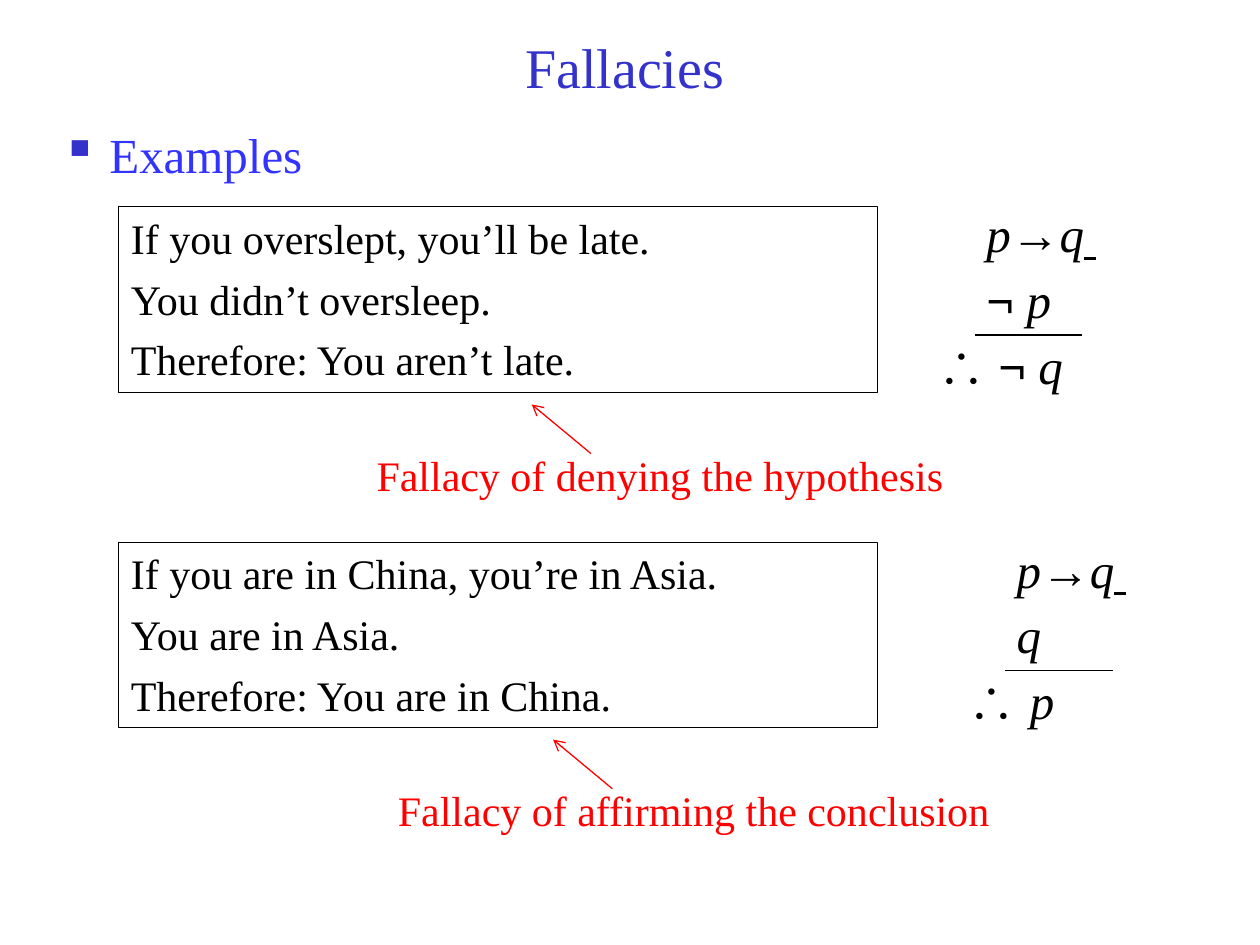
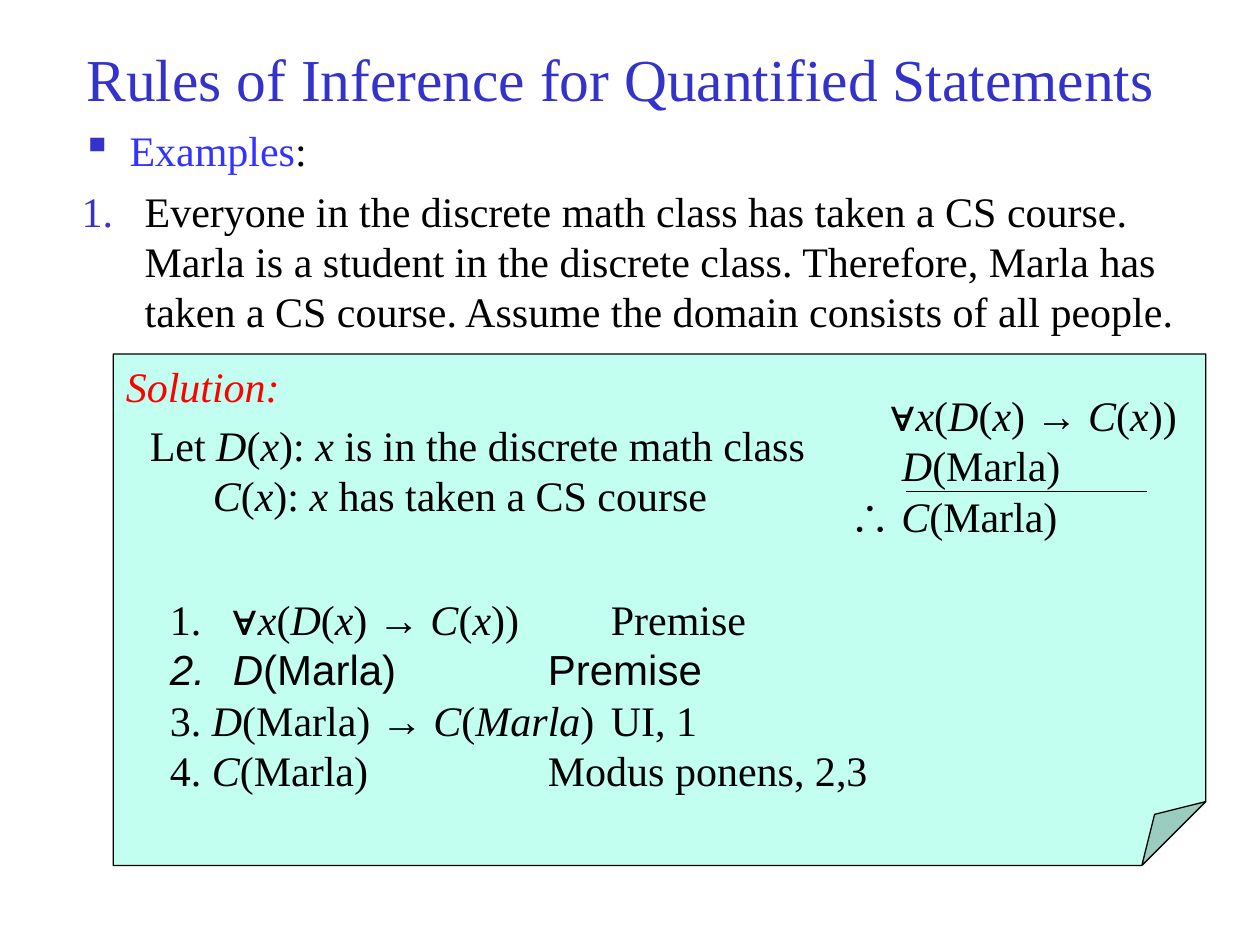
from lxml.etree import SubElement
from pptx import Presentation
from pptx.dml.color import RGBColor
from pptx.enum.shapes import MSO_CONNECTOR, MSO_SHAPE
from pptx.enum.text import MSO_ANCHOR, PP_ALIGN
from pptx.oxml.ns import qn
from pptx.util import Inches, Pt

NAVY, BLUE, RED, BLACK, MINT = "3333CC", "3333FF", "FF0000", "000000", "C2FFF0"
MARKS = "*~_^#"


def paint(target, color):
    target.rgb = RGBColor.from_string(color)


def split(text):
    state, part = set(), ""
    for char in text:
        if char in MARKS:
            if part:
                yield part, set(state)
            state ^= {char}
            part = ""
        else:
            part += char
    if part:
        yield part, state


def indent(para, left, hang, mark):
    props = para._p.get_or_add_pPr()
    props.set("marL", str(Inches(left)))
    props.set("indent", str(-Inches(hang)))
    if mark == "▪":
        SubElement(props, qn("a:buChar"), char=mark)
    elif mark:
        SubElement(props, qn("a:buAutoNum"), type=mark)
    else:
        SubElement(props, qn("a:buNone"))


def tint(para, color):
    node = SubElement(para._p.get_or_add_pPr(), qn("a:buClr"))
    SubElement(node, qn("a:srgbClr"), val=color)


def write(shape, lines, size=24, color=BLACK, gap=0, anchor=MSO_ANCHOR.TOP,
          align=PP_ALIGN.LEFT, dot=None):
    frame = shape.text_frame
    frame.word_wrap = True
    frame.vertical_anchor = anchor
    for pos, line in enumerate(lines):
        text, left, hang, mark = line if isinstance(line, tuple) else (line, 0, 0, None)
        para = frame.add_paragraph() if pos else frame.paragraphs[0]
        para.alignment = align
        if pos and gap:
            para.space_before = Pt(gap)
        if dot:
            tint(para, dot)
        indent(para, left, hang, mark)
        for part, state in split(text):
            run = para.add_run()
            run.text = part
            font = run.font
            font.size = Pt(size)
            font.name = "Arial" if "^" in state else "Times New Roman"
            font.italic = "*" in state
            font.bold = "~" in state
            font.underline = "_" in state
            paint(font.color, BLUE if "#" in state else color)


class Deck:
    def __init__(self):
        self.show = Presentation()
        self.show.slide_width, self.show.slide_height = Inches(10), Inches(7.5)
        self.slide = None

    def page(self, title, *place, size):
        self.slide = self.show.slides.add_slide(self.show.slide_layouts[6])
        self.text([title], *place, size=size, color=NAVY,
                  anchor=MSO_ANCHOR.MIDDLE, align=PP_ALIGN.CENTER)

    def text(self, lines, *place, **style):
        write(self.slide.shapes.add_textbox(*map(Inches, place)), lines, **style)

    def panel(self, kind, lines, *place, fill=None, width=0.25, fold=None, **style):
        shape = self.slide.shapes.add_shape(kind, *map(Inches, place))
        shape.shadow.inherit = False
        if fold:
            guides = next(shape._element.spPr.iter(qn("a:avLst")))
            SubElement(guides, qn("a:gd"), name="adj", fmla=f"val {fold}")
        if fill:
            shape.fill.solid()
            paint(shape.fill.fore_color, fill)
        else:
            shape.fill.background()
        paint(shape.line.color, BLACK)
        shape.line.width = Pt(width)
        write(shape, lines, **style)

    def line(self, *ends, color=BLACK, arrow=False):
        line = self.slide.shapes.add_connector(MSO_CONNECTOR.STRAIGHT, *map(Inches, ends))
        paint(line.line.color, color)
        line.line.width = Pt(0.75)
        if arrow:
            SubElement(line.line._get_or_add_ln(), qn("a:tailEnd"), type="arrow")
        SubElement(line._element.spPr, qn("a:effectLst"))

    def case(self, top, claim, proof, left, name, start):
        self.panel(MSO_SHAPE.RECTANGLE, claim, 0.94, top, 6.02, 1.47, gap=5.8)
        first, second, last = proof
        self.text([(first, 0.39, 0, None), (second, 0.39, 0, None), last],
                  left, top - 0.07, 1.8, 1.61, size=28, gap=4)
        self.line(left + 0.4, top + 1.02, left + 1.25, top + 1.02)
        self.line(start + 1.8, top + 1.96, start + 1.33, top + 1.57, color=RED, arrow=True)
        self.text([name], start, top + 1.88, 5, 0.51, color=RED)


def main():
    deck = Deck()
    deck.page("Fallacies", 0.31, 0.13, 9.3, 0.79, size=32)
    deck.text([("Examples", 0.38, 0.38, "▪")], 0.39, 0.94, 9.22, 0.6,
              size=28, color=BLUE, dot=NAVY)
    deck.case(1.64,
              ["If you overslept, you’ll be late.", "You didn’t oversleep.",
               "Therefore: You aren’t late."],
              ["*p*^→^*q_ _*", "~¬ ~*p*", "^∴^~ ¬ ~*q*"], 7.34,
              "Fallacy of denying the hypothesis", 2.89)
    deck.case(4.3,
              ["If you are in China, you’re in Asia.", "You are in Asia.",
               "Therefore: You are in China."],
              ["*p*^→^*q_ _*", "*q*", "^∴ ^*p*"], 7.58,
              "Fallacy of affirming the conclusion", 3.06)

    rule = "∀*x*(*D*(*x*) → *C*(*x*))"
    count = "arabicPeriod"
    deck.page("Rules of Inference for Quantified Statements", 0.16, 0.13, 9.53, 0.97, size=34)
    deck.text([("#Examples#:", 0.38, 0.38, "▪"),
               ("Everyone in the discrete math class has taken a CS course. Marla is a "
                "student in the discrete class. Therefore, Marla has taken a CS course. "
                "Assume the domain consists of all people.", 0.5, 0.5, count)],
              0.55, 0.94, 9.06, 1.8, gap=5.8, dot=NAVY)
    deck.panel(MSO_SHAPE.FOLDED_CORNER, ["*Solution:*"], 0.9, 2.81, 8.67, 4.06,
               fill=MINT, width=0.75, fold=12500, color=RED)
    deck.text(["Let *D*(*x*): *x* is in the discrete math class",
               ("*C*(*x*): *x* has taken a CS course", 0.5, 0, None)],
              1.09, 3.28, 7.89, 0.91)
    deck.text([(rule, 0.33, 0, None), ("*D*(Marla)", 0.42, 0, None), "∴ *C*(Marla)"],
              6.64, 3.04, 2.87, 1.31)
    deck.line(7.19, 3.9, 9.1, 3.9)
    deck.text([(rule + "\t\tPremise", 0.5, 0.5, count),
               ("^*D*(Marla)\t\t\tPremise^", 0.5, 0.5, count),
               "3. *D*(Marla) → *C*(*Marla*)\tUI, 1",
               "4. *C*(Marla)\t\t\tModus ponens, 2,3"],
              1.25, 4.66, 8.51, 1.72)
    deck.show.save("out.pptx")


if __name__ == "__main__":
    main()
